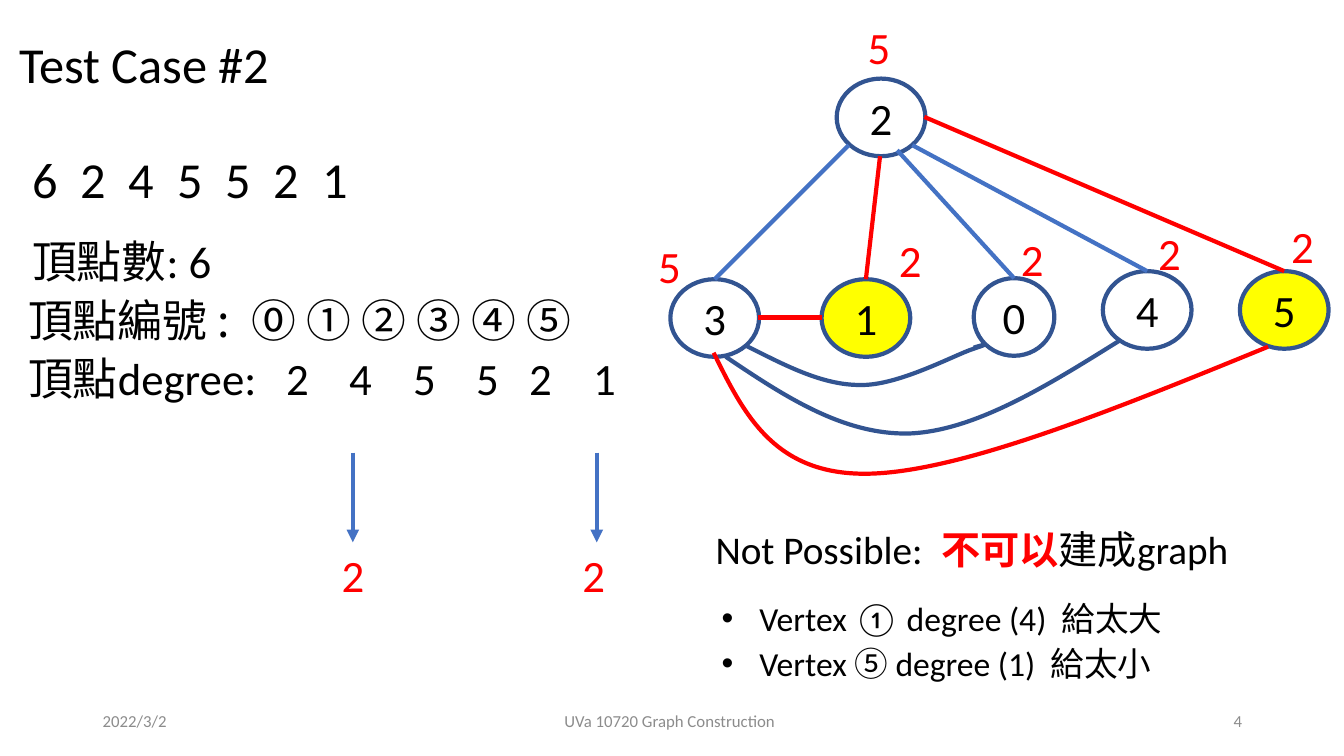
from dataclasses import dataclass

from lxml.etree import SubElement as Sub
from pptx import Presentation
from pptx.dml.color import RGBColor as Rgb
from pptx.enum.shapes import MSO_CONNECTOR as Conn, MSO_SHAPE as Shape
from pptx.enum.text import MSO_ANCHOR as Anchor, MSO_AUTO_SIZE as Fit, PP_ALIGN as Align
from pptx.oxml.ns import qn
from pptx.util import Emu, Inches, Pt

HUES = {"ink": "000000", "red": "FF0000", "blue": "4472C4", "navy": "325491",
        "gold": "FFFF00", "gray": "8C8C8C"}
LATIN, HAN = "Calibri", "Noto Sans CJK SC"
COLS, ROWS = 53.33, 30
CELL = Inches(0.25)


@dataclass
class Run:
    text: str
    face: str = LATIN
    hue: str = "ink"
    bold: bool = False


@dataclass
class Label:
    box: tuple[float, float, float, float]
    runs: list[Run]
    size: int
    tabs: tuple[float, ...] = ()
    bullet: bool = False
    align: Align = Align.LEFT
    anchor: Anchor = Anchor.TOP


@dataclass
class Node:
    name: str
    col: float
    row: float
    fill: str = ""
    wide: float = 3.52


@dataclass
class Edge:
    start: tuple[float, float]
    node: str
    hue: str


@dataclass
class Curve:
    points: list[tuple[float, float]]
    hue: str = "navy"


def grid(*cells: float) -> list[Emu]:
    return [Emu(round(cell * CELL)) for cell in cells]


def tint(hue: str) -> Rgb:
    return Rgb.from_string(HUES[hue])


def write(frame, runs: list[Run], size: int, tabs=(), bullet=False,
          align=Align.LEFT, anchor=Anchor.TOP) -> None:
    frame.word_wrap = True
    frame.auto_size = Fit.NONE
    frame.vertical_anchor = anchor
    para = frame.paragraphs[0]
    para.alignment = align
    props = para._p.get_or_add_pPr()
    if bullet:
        indent = grid(1.5)[0]
        props.set("marL", str(indent))
        props.set("indent", str(-indent))
        Sub(props, qn("a:buFont"), typeface="Arial")
        Sub(props, qn("a:buChar"), char="•")
    if tabs:
        stops = Sub(props, qn("a:tabLst"))
        for stop in grid(*tabs):
            Sub(stops, qn("a:tab"), pos=str(stop), algn="l")
    for item in runs:
        run = para.add_run()
        run.text = item.text
        font = run.font
        font.size, font.bold, font.name = Pt(size), item.bold, item.face
        font.color.rgb = tint(item.hue)
        Sub(run._r.get_or_add_rPr(), qn("a:ea"), typeface=HAN)


def label(slide, item: Label) -> None:
    box = slide.shapes.add_textbox(*grid(*item.box))
    write(box.text_frame, item.runs, item.size, tabs=item.tabs, bullet=item.bullet,
          align=item.align, anchor=item.anchor)


def stroke(line, hue: str) -> None:
    line.color.rgb = tint(hue)
    line.width = Pt(3)


def oval(slide, node: Node):
    shape = slide.shapes.add_shape(Shape.OVAL, *grid(node.col, node.row, node.wide, 3.08))
    shape.shadow.inherit = False
    if node.fill:
        shape.fill.solid()
        shape.fill.fore_color.rgb = tint(node.fill)
    else:
        shape.fill.background()
    stroke(shape.line, "navy")
    write(shape.text_frame, [Run(node.name)], 32, align=Align.CENTER, anchor=Anchor.MIDDLE)
    return shape


def link(slide, start, end, hue: str, arrow: bool = False):
    line = slide.shapes.add_connector(Conn.STRAIGHT, *grid(*start, *end))
    stroke(line.line, hue)
    Sub(line._element.spPr, qn("a:effectLst"))
    if arrow:
        Sub(line.line._get_or_add_ln(), qn("a:tailEnd"), type="triangle")
    return line


def bend(slide, curve: Curve) -> None:
    first, *rest = [grid(*point) for point in curve.points]
    maker = slide.shapes.build_freeform(*first)
    maker.add_line_segments(rest, close=False)
    shape = maker.convert_to_shape()
    shape.shadow.inherit = False
    shape.fill.background()
    stroke(shape.line, curve.hue)
    steps = list(shape._element.iter(qn("a:lnTo")))
    for pos in range(0, len(steps), 3):
        trio = steps[pos:pos + 3]
        cubic = Sub(trio[0].getparent(), qn("a:cubicBezTo"))
        for step in trio:
            cubic.append(step[0])
            step.getparent().remove(step)


LABELS = [
    Label((0.88, 5.68, 13.48, 5.24), [Run("6\t2\t4\t5\t5\t2\t1")], 36,
          tabs=tuple(1.92 * n for n in range(1, 7))),
    Label((0.88, 9.08, 9.2, 2.56), [Run("頂點數", HAN), Run(": 6")], 32),
    Label((0.72, 13.72, 24.36, 2.56),
          [Run("頂點", HAN), Run("degree:\t2\t4\t5\t5\t2\t1")], 32,
          tabs=(10.24, 12.74, 15.28, 17.78, 19.88, 22.42)),
    Label((0.72, 11.4, 13, 2.56), [Run("頂點編號 :", HAN)], 32),
    Label((9.6, 11.44, 16.44, 2.56), [Run("⓪ ① ② ③ ④ ⑤", HAN)], 32),
    Label((28, 20.64, 22.16, 2.28),
          [Run("Not Possible:\t"), Run("不可以", HAN, "red", True),
           Run("建成", HAN), Run("graph")], 28, tabs=(8.96,)),
    Label((28.24, 23.52, 18.92, 2),
          [Run("Vertex ① degree (4)\t"), Run("給太大", HAN)], 24,
          tabs=(13.5,), bullet=True),
    Label((28.24, 25.32, 18, 2),
          [Run("Vertex "), Run("⑤ ", HAN), Run("degree (1)\t"), Run("給太小", HAN)], 24,
          tabs=(13.06,), bullet=True),
]
FOOT = [("2022/3/2", 3.68, 12, Align.LEFT),
        ("UVa 10720 Graph Construction", 17.58, 18, Align.CENTER),
        ("4", 37.68, 12, Align.RIGHT)]
LABELS += [Label((col, 27.8, wide, 1.6), [Run(text, hue="gray")], 12,
                 align=align, anchor=Anchor.MIDDLE) for text, col, wide, align in FOOT]
MARKS = [("5", 34.04, 0.6), ("5", 25.72, 9.28), ("2", 35.28, 9.04), ("2", 40.12, 9),
         ("2", 45.56, 8.76), ("2", 50.84, 8.48), ("2", 13.16, 21.52), ("2", 22.72, 21.52)]
LABELS += [Label((col, row, 2.12, 2.56), [Run(text, hue="red")], 32)
           for text, col, row in MARKS]
NODES = [Node("2", 33.2, 3.12), Node("3", 26.6, 11.08), Node("1", 32.6, 11.08, "gold"),
         Node("0", 38.64, 11.04, wide=3.2), Node("4", 43.76, 10.76),
         Node("5", 49.2, 10.76, "gold")]
EDGES = [Edge((34.92, 6.2), "1", "red"), Edge((33.68, 5.76), "3", "blue"),
         Edge((36.2, 5.76), "4", "blue"), Edge((36.68, 4.64), "5", "red"),
         Edge((35.6, 5.96), "0", "blue")]
CURVES = [
    Curve([(29.6, 13.72), (31.12, 14.48), (32.6, 15.28), (34.12, 15.28), (35.64, 15.32),
           (37.88, 14.08), (38.64, 13.84), (39.36, 13.6), (39, 13.68), (38.64, 13.8)]),
    Curve([(28.8, 14.16), (31.12, 15.72), (33.48, 17.28), (36.12, 17.2),
           (38.72, 17.08), (41.6, 15.28), (44.48, 13.48)]),
    Curve([(28.32, 14), (29.52, 16.44), (30.72, 18.84), (34.4, 18.8),
           (38.04, 18.76), (44.16, 16.28), (50.32, 13.76)], "red"),
]


def main() -> None:
    deck = Presentation()
    deck.slide_width, deck.slide_height = grid(COLS, ROWS)
    slide = deck.slides.add_slide(deck.slide_layouts[5])
    title = slide.shapes.title
    title.left, title.top, title.width, title.height = grid(0.36, 1.12, 11.4, 2.84)
    write(title.text_frame, [Run("Test Case #2")], 36)
    ovals = {node.name: oval(slide, node) for node in NODES}
    for edge in EDGES:
        link(slide, edge.start, edge.start, edge.hue).end_connect(ovals[edge.node], 0)
    link(slide, (30.08, 12.6), (32.6, 12.6), "red")
    for curve in CURVES:
        bend(slide, curve)
    for col in (14, 23.68):
        link(slide, (col, 17.96), (col, 21.52), "blue", arrow=True)
    for item in LABELS:
        label(slide, item)
    deck.save("out.pptx")


if __name__ == "__main__":
    main()
